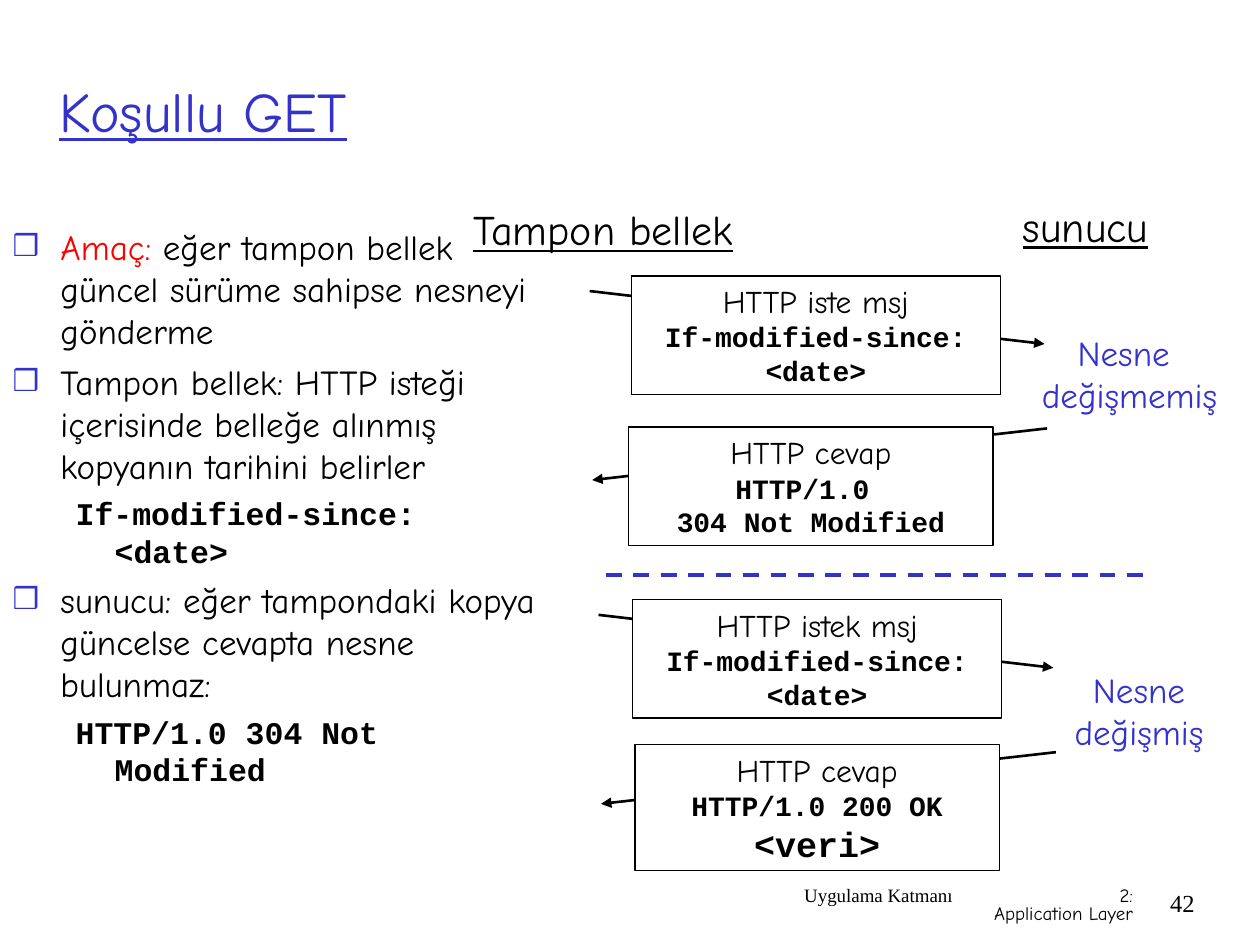
from dataclasses import dataclass

from lxml.etree import SubElement
from pptx import Presentation
from pptx.dml.color import RGBColor
from pptx.enum.dml import MSO_LINE
from pptx.enum.shapes import MSO_CONNECTOR as Connector, MSO_SHAPE as Shape
from pptx.enum.text import MSO_ANCHOR as Anchor, MSO_AUTO_SIZE as AutoSize, PP_ALIGN as Align
from pptx.oxml.ns import qn
from pptx.util import Emu, Pt

PX = 9144  # 100 px to the inch


@dataclass(frozen=True)
class Theme:
    black: str = "000000"
    white: str = "FFFFFF"
    blue: str = "3333CC"
    red: str = "FF0000"
    hand: str = "Comic Neue"
    code: str = "Courier New"
    serif: str = "Times New Roman"
    title: float = 32
    heading: float = 24
    body: float = 20
    message: float = 18
    header: float = 16
    number: float = 14
    footer: float = 10.8


THEME = Theme()


def px(*lengths):
    return [Emu(length * PX) for length in lengths]


def rgb(color):
    return RGBColor.from_string(color)


def write(paragraph, text, font=THEME.hand, size=THEME.body, color=THEME.black,
          bold=False, underline=False):
    """Add one formatted run to a paragraph."""
    run = paragraph.add_run()
    run.text = text
    run.font.name, run.font.size = font, Pt(size)
    run.font.color.rgb = rgb(color)
    run.font.bold, run.font.underline = bold, underline


def fill_frame(frame, lines, align=Align.CENTER, wrap=True):
    """Write one paragraph for each (text, format) pair."""
    frame.word_wrap = wrap
    frame.vertical_anchor = Anchor.TOP
    for index, (text, style) in enumerate(lines):
        paragraph = frame.add_paragraph() if index else frame.paragraphs[0]
        paragraph.alignment = align
        write(paragraph, text, **style)


def add_label(slide, box, lines, align=Align.CENTER, wrap=False):
    frame = slide.shapes.add_textbox(*px(*box)).text_frame
    fill_frame(frame, lines, align, wrap)
    frame.auto_size = AutoSize.NONE if wrap else AutoSize.SHAPE_TO_FIT_TEXT
    return frame


def add_line(slide, start, end, color=THEME.black, width=1.5, dash=None, arrow=False):
    line = slide.shapes.add_connector(Connector.STRAIGHT, *px(*start, *end))
    line.line.color.rgb = rgb(color)
    line.line.width = Pt(width)
    if dash:
        line.line.dash_style = dash
    if arrow:
        SubElement(line.line._get_or_add_ln(), qn("a:tailEnd"), type="triangle")
    SubElement(line._element.spPr, qn("a:effectLst"))


def add_message(slide, box, title, headers):
    """Bordered box with a message title over its HTTP header lines."""
    shape = slide.shapes.add_shape(Shape.RECTANGLE, *px(*box))
    shape.shadow.inherit = False
    shape.fill.solid()
    shape.fill.fore_color.rgb = rgb(THEME.white)
    shape.line.color.rgb = rgb(THEME.black)
    shape.line.width = Pt(0.75)
    lines = [(title, dict(size=THEME.message))]
    lines += [(text, dict(font=THEME.code, size=size, bold=True)) for text, size in headers]
    fill_frame(shape.text_frame, lines)


def add_exchange(slide, left, top, request, response, label):
    """Request arrow to the server, response arrow back, and the object's state."""
    def place(box):
        return left + box[0], top + box[1], *box[2:]

    add_line(slide, place((0, 12)), place((361, 54)), arrow=True)
    add_message(slide, place(request[0]), *request[1:])
    add_line(slide, place((363, 121)), place((2, 162)), arrow=True)
    add_message(slide, place(response[0]), *response[1:])
    add_label(slide, place(label[0]), [(text, dict(color=THEME.blue)) for text in label[1]])


def format_item(paragraph, left, hanging, bullet=None):
    """Set the hanging indent and the bullet of a list paragraph."""
    properties = paragraph._p.get_or_add_pPr()
    properties.set("marL", str(left * PX))
    properties.set("indent", str(-hanging * PX))
    if bullet:
        color = SubElement(properties, qn("a:buClr"))
        SubElement(color, qn("a:srgbClr"), val=THEME.blue)
        SubElement(properties, qn("a:buSzPct"), val="85000")
        SubElement(properties, qn("a:buChar"), char=bullet)
    else:
        SubElement(properties, qn("a:buNone"))


def move(shape, box):
    shape.left, shape.top, shape.width, shape.height = px(*box)


def add_title(slide, box):
    title = slide.shapes.title
    move(title, box)
    fill_frame(title.text_frame, [
        ("Koşullu GET", dict(size=THEME.title, color=THEME.blue, underline=True))], Align.LEFT)
    title.text_frame.vertical_anchor = Anchor.MIDDLE


def add_body(slide, box):
    body = slide.placeholders[1]
    move(body, box)
    frame = body.text_frame
    frame.word_wrap, frame.auto_size = True, AutoSize.NONE
    code = dict(font=THEME.code, size=THEME.message, bold=True)
    items = [
        (0, [("Amaç: ", dict(color=THEME.red)),
             ("eğer tampon bellek güncel sürüme sahipse nesneyi gönderme", {})]),
        (0, [("Tampon bellek: HTTP isteği içerisinde belleğe alınmış "
              "kopyanın tarihini belirler", {})]),
        (1, [("If-modified-since: <date>", code)]),
        (0, [("sunucu: eğer tampondaki kopya güncelse cevapta nesne bulunmaz:", {})]),
        (1, [("HTTP/1.0 304 Not Modified", code)]),
    ]
    for index, (level, runs) in enumerate(items):
        paragraph = frame.add_paragraph() if index else frame.paragraphs[0]
        paragraph.level = level
        format_item(paragraph, *((81, 31) if level else (38, 38, "❒")))
        paragraph.space_before = Pt((4.5 if level else 5) if index else 0)
        for text, style in runs:
            write(paragraph, text, **style)


def add_footer(slide, left, top, height):
    """Course name, chapter and slide number, side by side."""
    parts = [
        (0, 174, ["Uygulama Katmanı"], THEME.serif, THEME.footer, 0.8),
        (167, 150, ["2:", "Application Layer"], THEME.hand, THEME.footer, 0.8),
        (316, 50, ["42"], THEME.serif, THEME.number, 1.0),
    ]
    for offset, width, texts, font, size, spacing in parts:
        frame = add_label(slide, (left + offset, top, width, height),
                          [(text, dict(font=font, size=size)) for text in texts],
                          Align.RIGHT, wrap=True)
        for paragraph in frame.paragraphs:
            paragraph.line_spacing = spacing


def add_diagram(slide):
    # Column headings, wide enough to stay on one line
    heading = dict(size=THEME.heading, underline=True)
    add_label(slide, (359, 157, 239, 50), [("Tampon bellek", heading)])
    add_label(slide, (792, 154, 139, 50), [("sunucu", heading)])

    # Object not modified, then object modified
    condition = [("If-modified-since: <date>", THEME.header)]
    add_exchange(
        slide, 468, 219,
        ((33, 0, 293, 94), "HTTP iste msj", condition),
        ((31, 120, 289, 94), "HTTP cevap",
         [("HTTP/1.0 ", THEME.header), ("304 Not Modified", THEME.header)]),
        ((344, 39, 169, 77), ["Nesne ", "değişmemiş"]))
    add_line(slide, (481, 456), (908, 456), THEME.blue, 2.25, MSO_LINE.DASH)
    add_exchange(
        slide, 475, 476,
        ((27, 0, 293, 94), "HTTP istek msj", condition),
        ((29, 115, 289, 100), "HTTP cevap",
         [("HTTP/1.0 200 OK", THEME.header), ("<veri>", THEME.body)]),
        ((363, 50, 132, 110), ["Nesne", "değişmiş"]))


def main():
    presentation = Presentation()
    presentation.slide_width, presentation.slide_height = px(1000, 750)
    slide = presentation.slides.add_slide(presentation.slide_layouts[1])
    add_title(slide, (37, 25, 871, 125))
    add_body(slide, (0, 174, 442, 471))
    add_diagram(slide)
    add_footer(slide, 592, 700, 50)
    presentation.save("out.pptx")


if __name__ == "__main__":
    main()
